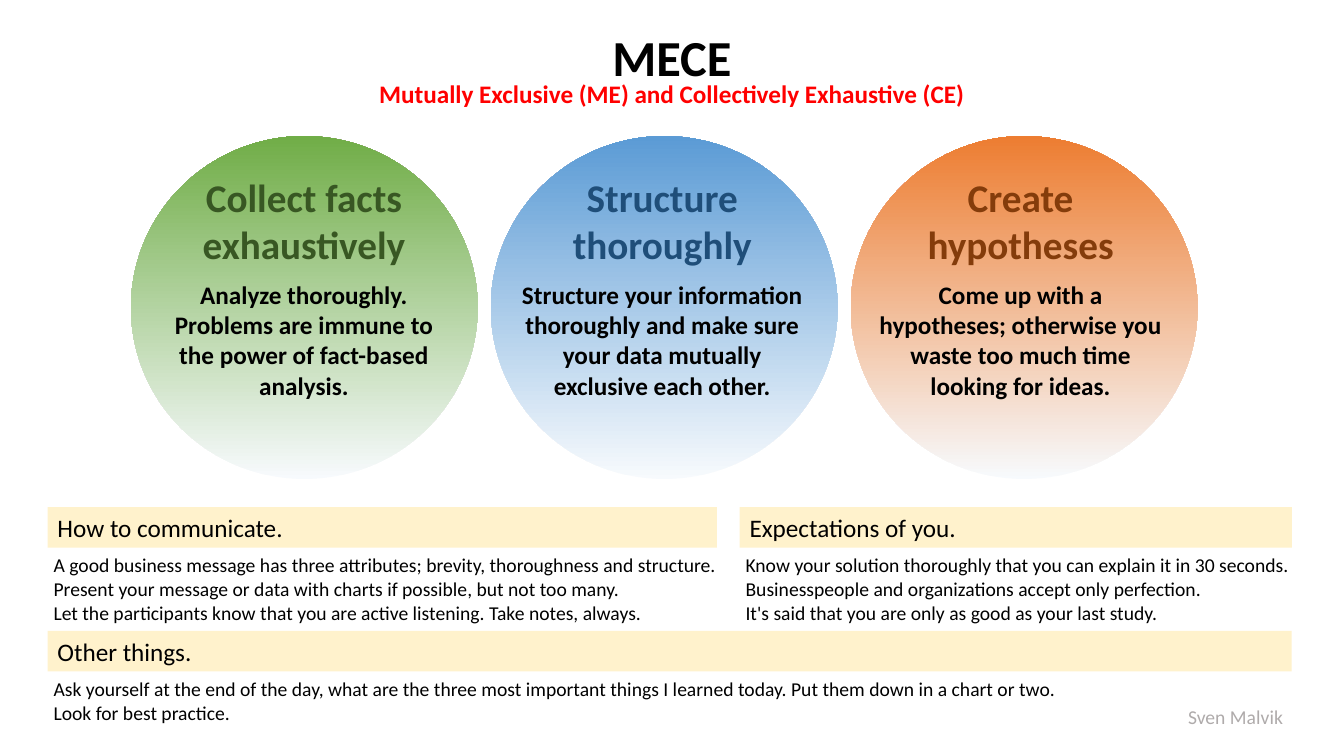
from pptx import Presentation
from pptx.dml.color import RGBColor
from pptx.enum.shapes import MSO_SHAPE
from pptx.enum.text import MSO_ANCHOR, MSO_AUTO_SIZE, PP_ALIGN
from pptx.util import Cm, Pt

OVAL, RECTANGLE = MSO_SHAPE.OVAL, MSO_SHAPE.RECTANGLE
LEFT, CENTER = PP_ALIGN.LEFT, PP_ALIGN.CENTER
MIDDLE = MSO_ANCHOR.MIDDLE
GROW = MSO_AUTO_SIZE.SHAPE_TO_FIT_TEXT

FONT = "Calibri"
COLORS = {
    "text": "000000",
    "subtitle": "FF0000",
    "author": "AFABAB",
    "band": "FFF2CC",
    "fade": "F7FAFD",
    "green": "70AD47",
    "dark green": "385723",
    "blue": "5B9BD5",
    "dark blue": "1F4E79",
    "orange": "ED7D31",
    "dark orange": "843C0B",
}

SLIDE_WIDTH, SLIDE_HEIGHT = 33.87, 19.05
CIRCLE_WIDTH, CIRCLE_HEIGHT = 8.74, 8.64
CIRCLE_LEFT, CIRCLE_TOP, CIRCLE_PITCH = 3.3, 3.43, 9.07
TEXT_CENTER, TEXT_PITCH = 7.66, 9.03
BAND_HEIGHT = 1.02

STAGES = [
    ("green", "Collect facts exhaustively",
     "Analyze thoroughly. Problems are immune to the power of fact-based analysis."),
    ("blue", "Structure thoroughly",
     "Structure your information thoroughly and make sure your data mutually "
     "exclusive each other."),
    ("orange", "Create hypotheses",
     "Come up with a hypotheses; otherwise you waste too much time looking for ideas."),
]

# Heading, left, top, band width, note width, note shift, note lines
SECTIONS = [
    ("How to communicate.", 1.2, 12.78, 16.87, 17.45, -0.1, [
        "A good business message has three attributes; brevity, thoroughness and structure.",
        "Present your message or data with charts if possible, but not too many.",
        "Let the participants know that you are active listening. Take notes, always.",
    ]),
    ("Expectations of you.", 18.64, 12.78, 13.92, 14.27, -0.1, [
        "Know your solution thoroughly that you can explain it in 30 seconds.",
        "Businesspeople and organizations accept only perfection.",
        "It's said that you are only as good as your last study.",
    ]),
    ("Other things.", 1.2, 15.9, 31.35, 27.5, -0.1, [
        "Ask yourself at the end of the day, what are the three most important things "
        "I learned today. Put them down in a chart or two.",
        "Look for best practice.",
    ]),
]


def rgb(name):
    return RGBColor.from_string(COLORS[name])


def write(shape, lines, size, color="text", bold=False, align=LEFT):
    """Fill a shape with one paragraph per line, all formatted alike."""
    frame = shape.text_frame
    frame.word_wrap = True
    frame.auto_size = GROW
    frame.text = "\n".join(lines)
    for paragraph in frame.paragraphs:
        paragraph.alignment = align
        for run in paragraph.runs:
            run.font.name = FONT
            run.font.size = Pt(size)
            run.font.bold = bold
            run.font.color.rgb = rgb(color)


def add_text(slide, left, top, width, height, lines, size, **style):
    box = slide.shapes.add_textbox(Cm(left), Cm(top), Cm(width), Cm(height))
    write(box, lines, size, **style)


def add_plain_shape(slide, kind, left, top, width, height):
    """Add a preset shape without outline or shadow."""
    shape = slide.shapes.add_shape(kind, Cm(left), Cm(top), Cm(width), Cm(height))
    shape.shadow.inherit = False
    shape.line.fill.background()
    return shape


def add_title(slide, left, top, width):
    add_text(slide, left, top, width, 1.8, ["MECE"], 36, bold=True, align=CENTER)
    add_text(slide, left, top + 1.32, width, 1.02,
             ["Mutually Exclusive (ME) and Collectively Exhaustive (CE)"], 18,
             color="subtitle", bold=True, align=CENTER)


def add_stage(slide, left, top, text_center, color, heading, advice):
    """Add a fading circle with a heading and advice around text_center."""
    circle = add_plain_shape(slide, OVAL, left, top, CIRCLE_WIDTH, CIRCLE_HEIGHT)
    circle.fill.gradient()
    circle.fill.gradient_angle = 90
    for stop, stop_color in zip(circle.fill.gradient_stops, ("fade", color)):
        stop.color.rgb = rgb(stop_color)
    heading_width, advice_width = 6.1, 7.9
    add_text(slide, text_center - heading_width / 2, top + 0.81, heading_width, 2.64,
             [heading], 28, color=f"dark {color}", bold=True, align=CENTER)
    add_text(slide, text_center - advice_width / 2, top + 3.48, advice_width, 3.33,
             [advice], 18, bold=True, align=CENTER)


def add_section(slide, heading, left, top, band_width, note_width, note_shift, notes):
    """Add a heading band with its notes below."""
    band = add_plain_shape(slide, RECTANGLE, left, top, band_width, BAND_HEIGHT)
    band.fill.solid()
    band.fill.fore_color.rgb = rgb("band")
    write(band, [heading], 18)
    band.text_frame.vertical_anchor = MIDDLE
    add_text(slide, left + note_shift, top + BAND_HEIGHT + 0.02, note_width,
             0.25 + 0.6 * len(notes), notes, 14)


def main():
    deck = Presentation()
    deck.slide_width, deck.slide_height = Cm(SLIDE_WIDTH), Cm(SLIDE_HEIGHT)
    slide = deck.slides.add_slide(deck.slide_layouts[6])

    add_title(slide, 0, 0.53, SLIDE_WIDTH)
    for index, stage in enumerate(STAGES):
        add_stage(slide, CIRCLE_LEFT + index * CIRCLE_PITCH, CIRCLE_TOP,
                  TEXT_CENTER + index * TEXT_PITCH, *stage)
    for section in SECTIONS:
        add_section(slide, *section)
    add_text(slide, 29.69, 17.63, 3.25, 0.86, ["Sven Malvik"], 14, color="author")

    deck.save("out.pptx")


if __name__ == "__main__":
    main()
